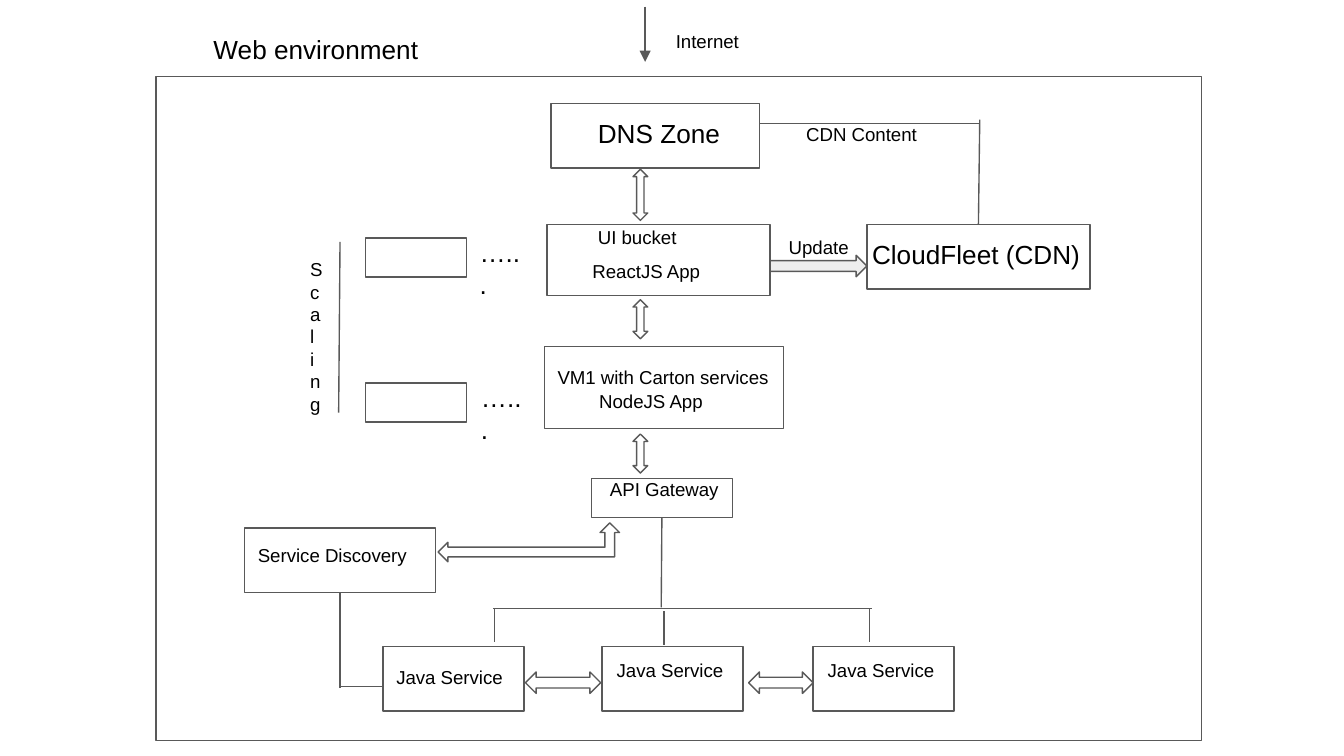
from typing import NamedTuple, Optional

from pptx import Presentation
from pptx.dml.color import RGBColor
from pptx.enum.shapes import MSO_CONNECTOR, MSO_SHAPE
from pptx.enum.text import MSO_ANCHOR
from pptx.oxml.ns import qn
from pptx.util import Inches, Pt
from lxml.etree import SubElement

INK, LINE, WHITE, GREY = "000000", "595959", "FFFFFF", "EEEEEE"


class Block(NamedTuple):
    x: float
    y: float
    w: float
    h: float
    kind: MSO_SHAPE = MSO_SHAPE.RECTANGLE
    fill: str = WHITE


class Label(NamedTuple):
    text: str
    x: float
    y: float
    w: float
    h: float
    size: int = 10


class Link(NamedTuple):
    x1: float
    y1: float
    x2: float
    y2: float
    start: Optional[str] = None
    site: int = 2
    arrow: bool = False


JAVA_X = (2.85, 4.48, 6.05)
BOXES = {
    "environment": Block(1.16, 0.57, 7.78, 4.94),
    "dns": Block(4.1, 0.77, 1.55, 0.48),
    "bucket": Block(4.07, 1.67, 1.66, 0.53),
    "cdn": Block(6.45, 1.67, 1.66, 0.48),
    "server": Block(4.05, 2.58, 1.78, 0.61),
    "bucket replica": Block(2.72, 1.77, 0.75, 0.29),
    "server replica": Block(2.72, 2.85, 0.75, 0.29),
    "gateway": Block(4.4, 3.56, 1.05, 0.29),
    "discovery": Block(1.82, 3.93, 1.42, 0.48),
    **{f"java {i}": Block(x, 4.81, 1.05, 0.48) for i, x in enumerate(JAVA_X)},
}
ARROWS = [
    Block(5.73, 1.9, 0.72, 0.16, MSO_SHAPE.RIGHT_ARROW, GREY),
    Block(3.26, 3.89, 1.35, 0.29, MSO_SHAPE.LEFT_UP_ARROW),
    *(Block(x, 5, w, 0.16, MSO_SHAPE.LEFT_RIGHT_ARROW)
      for x, w in ((3.91, 0.56), (5.57, 0.48))),
    *(Block(4.71, y, 0.11, h, MSO_SHAPE.UP_DOWN_ARROW)
      for y, h in ((1.26, 0.38), (2.23, 0.29), (3.23, 0.29))),
]
LINKS = [
    Link(4.8, 0.05, 4.8, 0.46, arrow=True),
    Link(7.28, 1.67, 7.29, 0.89, "cdn", 0),
    Link(7.29, 0.92, 5.65, 0.92),
    Link(2.53, 1.8, 2.52, 3.07),
    Link(2.53, 4.41, 2.53, 5.12, "discovery"),
    Link(2.54, 5.11, 2.84, 5.11),
    Link(4.92, 3.85, 4.92, 4.52, "gateway"),
    Link(3.67, 4.53, 6.49, 4.53),
    *(Link(x, y, x, y + 0.25)
      for x, y in ((3.68, 4.53), (4.94, 4.55), (6.47, 4.53))),
]
LABELS = [
    Label("Web environment", 1.49, 0.16, 2.07, 0.19, 14),
    Label("Internet", 4.93, 0.14, 0.8, 0.25),
    Label("DNS Zone", 4.35, 0.77, 1.22, 0.29, 14),
    Label("CDN Content", 5.9, 0.83, 1.05, 0.19),
    Label("UI bucket", 4.35, 1.6, 1.22, 0.19),
    Label("ReactJS App", 4.31, 1.85, 1.12, 0.19),
    Label("Update", 5.77, 1.67, 0.8, 0.19),
    Label("CloudFleet (CDN)", 6.39, 1.67, 1.78, 0.29, 14),
    Label("Scaling", 2.21, 1.82, 0.2, 1.27),
    Label("…...", 3.47, 1.67, 0.54, 0.19, 14),
    Label("…...", 3.48, 2.75, 0.54, 0.19, 14),
    Label("VM1 with Carton services", 4.05, 2.64, 1.85, 0.19),
    Label("NodeJS App", 4.36, 2.82, 1.12, 0.29),
    Label("API Gateway", 4.44, 3.47, 1.22, 0.19),
    Label("Service Discovery", 1.82, 3.96, 2.29, 0.19),
    *(Label("Java Service", x, y, 1.12, 0.38)
      for x, y in zip((2.85, 4.49, 6.06), (4.87, 4.82, 4.82))),
]


def rgb(value: str) -> RGBColor:
    """Turn a hex string into a colour."""
    return RGBColor.from_string(value)


def style_line(line) -> None:
    """Apply the common outline."""
    line.color.rgb = rgb(LINE)
    line.width = Pt(0.75)


def add_block(s, b: Block):
    """Draw a filled, outlined preset shape."""
    sp = s.shapes.add_shape(b.kind, *map(Inches, b[:4]))
    sp.shadow.inherit = False
    sp.fill.solid()
    sp.fill.fore_color.rgb = rgb(b.fill)
    style_line(sp.line)
    return sp


def add_link(s, link: Link, boxes: dict) -> None:
    """Draw a straight connector, glued to its starting box if it has one."""
    c = s.shapes.add_connector(MSO_CONNECTOR.STRAIGHT, *map(Inches, link[:4]))
    if link.start:
        c.begin_connect(boxes[link.start], link.site)
    style_line(c.line)
    if link.arrow:
        SubElement(c.line._get_or_add_ln(), qn("a:tailEnd"), type="triangle")
    SubElement(c._element.spPr, qn("a:effectLst"))


def add_text(s, text: str, *, x: float, y: float, w: float, h: float,
             size: int = 10, color: str = INK, font: str = "Arial") -> None:
    """Add a wrapped text box with even insets."""
    tf = s.shapes.add_textbox(*map(Inches, (x, y, w, h))).text_frame
    tf.word_wrap = True
    tf.vertical_anchor = MSO_ANCHOR.TOP
    tf.margin_left = tf.margin_right = Inches(0.1)
    tf.margin_top = tf.margin_bottom = Inches(0.1)
    r = tf.paragraphs[0].add_run()
    r.text = text
    r.font.name = font
    r.font.size = Pt(size)
    r.font.color.rgb = rgb(color)


def main() -> None:
    """Build the architecture slide."""
    prs = Presentation()
    prs.slide_width = Inches(10)
    prs.slide_height = prs.slide_width * 9 // 16
    s = prs.slides.add_slide(prs.slide_layouts[6])
    boxes = {name: add_block(s, b) for name, b in BOXES.items()}
    for arrow in ARROWS:
        add_block(s, arrow)
    for link in LINKS:
        add_link(s, link, boxes)
    for label in LABELS:
        add_text(s, **label._asdict())
    prs.save("out.pptx")


if __name__ == "__main__":
    main()
